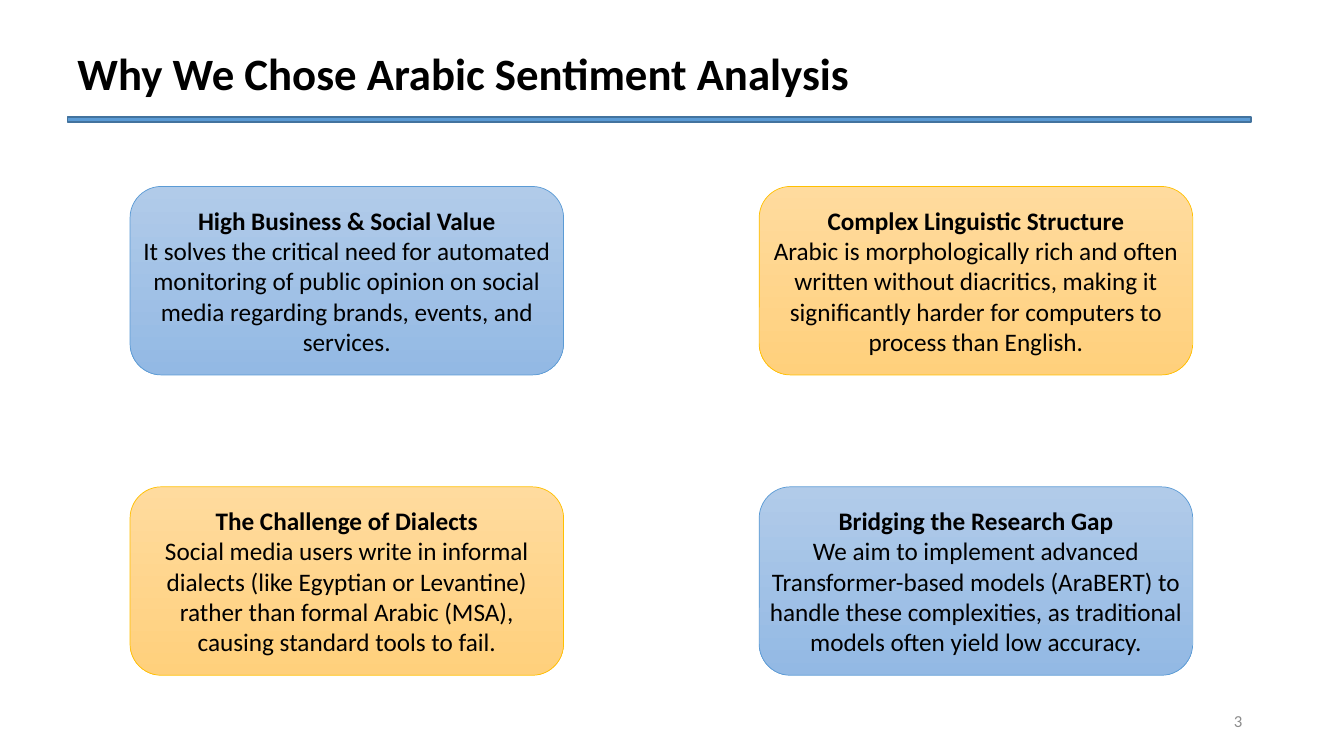
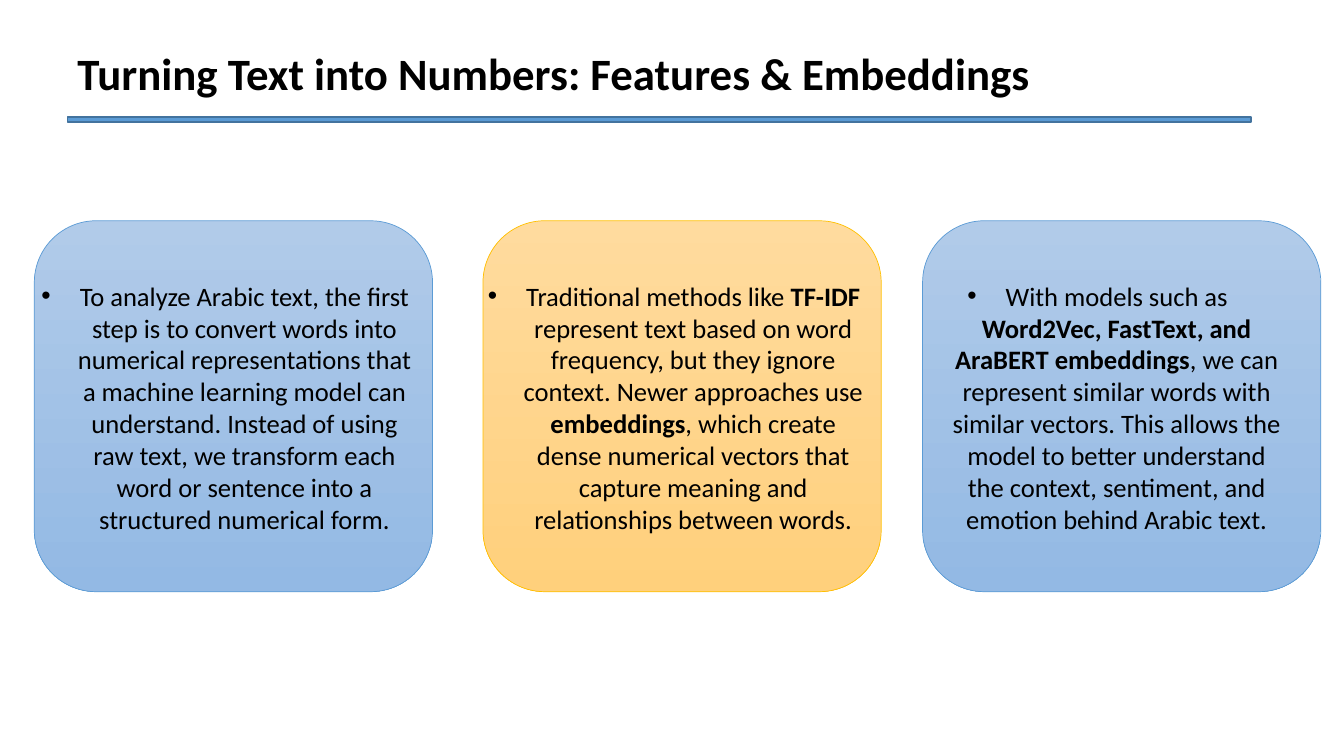
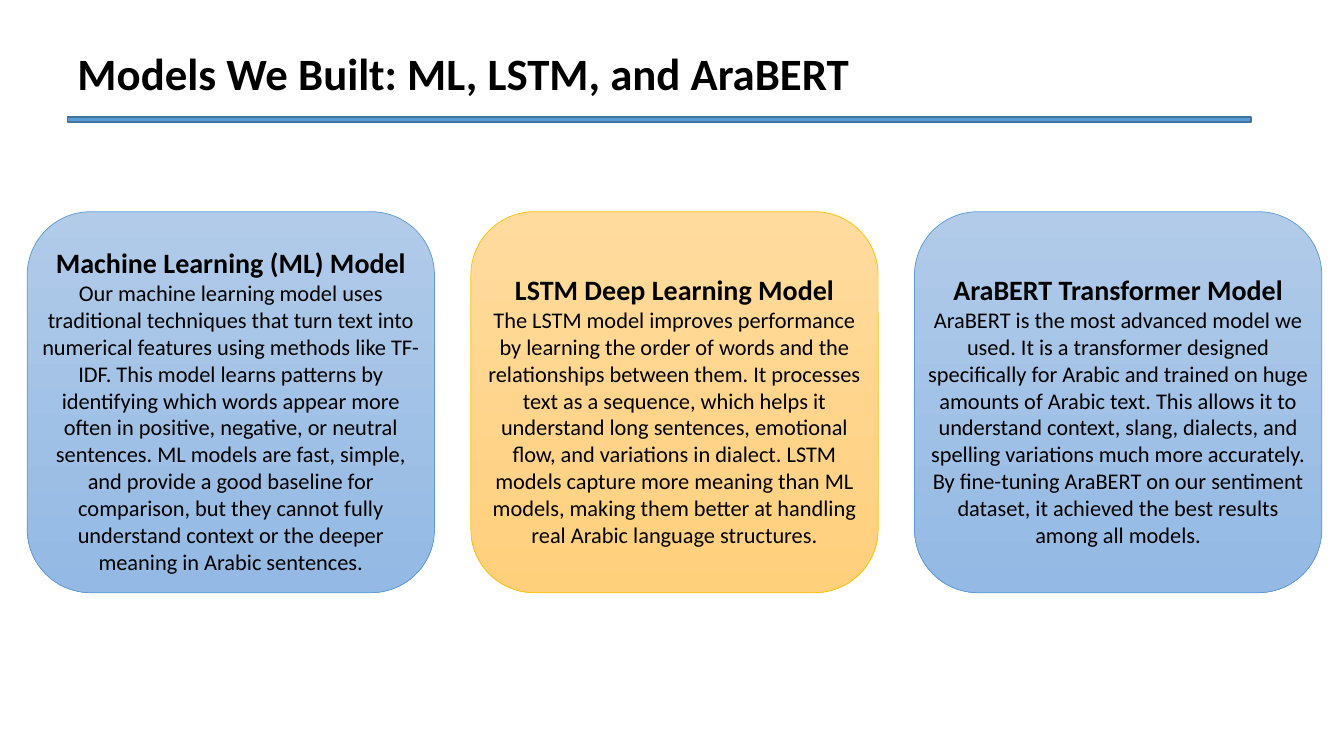
import dataclasses
import itertools

import lxml.etree
import pptx
import pptx.dml.color
import pptx.enum.shapes
import pptx.enum.text
import pptx.oxml.ns
import pptx.util

Inches = pptx.util.Inches
Pt = pptx.util.Pt
Align = pptx.enum.text.PP_ALIGN
Anchor = pptx.enum.text.MSO_ANCHOR
Shape = pptx.enum.shapes.MSO_SHAPE


def rgb(code):
    return pptx.dml.color.RGBColor.from_string(code)


@dataclasses.dataclass(frozen=True)
class Theme:
    font: str = "Calibri"
    ink: str = "000000"
    gray: str = "8C8C8C"
    rule: str = "5B9BD5"
    edge: str = "43739E"
    # each card style: top colour, bottom colour, outline
    blue: tuple = ("B1CBE9", "93B9E4", "5B9BD5")
    gold: tuple = ("FFDB9E", "FFD07C", "FFC000")
    title: int = 32
    head: int = 20
    bullet: int = 19
    body: int = 18
    small: int = 16
    page: int = 12


class Deck:
    def __init__(self, theme):
        self.theme = theme
        self.file = pptx.Presentation()
        self.file.slide_width = Inches(13.33)
        self.file.slide_height = Inches(7.5)
        self.slide = None

    def open(self, title):
        """Start a slide with its title and the rule under it."""
        self.slide = self.file.slides.add_slide(self.file.slide_layouts[6])
        frame = self.frame(0.67, 0.4, 10.98, 0.64)
        self.para(frame.paragraphs[0], title, self.theme.title, bold=True, align=Align.LEFT)
        bar = self.shape(Shape.RECTANGLE, 0.67, 1.16, 11.74, 0.05, self.theme.edge, 1)
        bar.fill.solid()
        bar.fill.fore_color.rgb = rgb(self.theme.rule)

    def shape(self, kind, x, y, w, h, line, width):
        shape = self.slide.shapes.add_shape(kind, Inches(x), Inches(y), Inches(w), Inches(h))
        shape.shadow.inherit = False
        shape.line.color.rgb = rgb(line)
        shape.line.width = Pt(width)
        return shape

    def card(self, x, y, w, h, style):
        top, base, line = style
        card = self.shape(Shape.ROUNDED_RECTANGLE, x, y, w, h, line, 0.5)
        card.fill.gradient()
        card.fill.gradient_angle = 270
        for stop, code in zip(card.fill.gradient_stops, (top, base)):
            stop.color.rgb = rgb(code)

    def frame(self, x, y, w, h):
        box = self.slide.shapes.add_textbox(Inches(x), Inches(y), Inches(w), Inches(h))
        frame = box.text_frame
        frame.word_wrap = True
        frame.vertical_anchor = Anchor.MIDDLE
        return frame

    def para(self, para, text, size, bold=False, align=Align.CENTER, color=None):
        """Fill a paragraph; parts between asterisks are bold."""
        para.alignment = align
        font = para.font
        font.name, font.size = self.theme.font, Pt(size)
        font.color.rgb = rgb(color or self.theme.ink)
        parts = text.split("*")
        if len(parts) == 1:
            font.bold = bold
        for spot, part in enumerate(parts):
            run = para.add_run()
            run.text = part
            if len(parts) > 1:
                run.font.bold = spot % 2 == 1

    def label(self, x, y, w, h, head, body, big, small):
        frame = self.frame(x, y, w, h)
        self.para(frame.paragraphs[0], head, big, bold=True)
        self.para(frame.add_paragraph(), body, small)

    def point(self, x, y, w, h, text):
        """Add a text box with one bulleted paragraph."""
        para = self.frame(x, y, w, h).paragraphs[0]
        self.para(para, text, self.theme.bullet)
        props = para._p.get_or_add_pPr()
        props.set("marL", str(Inches(0.38)))
        props.set("indent", str(-Inches(0.38)))
        qn = pptx.oxml.ns.qn
        font = lxml.etree.Element(qn("a:buFont"), typeface="Arial")
        mark = lxml.etree.Element(qn("a:buChar"), char="•")
        props.insert(0, font)
        props.insert(1, mark)

    def page(self, number):
        frame = self.frame(9.42, 6.95, 3, 0.4)
        self.para(frame.paragraphs[0], str(number), self.theme.page,
                  align=Align.RIGHT, color=self.theme.gray)


REASONS = [
    ("High Business & Social Value",
     "It solves the critical need for automated monitoring of public opinion on social "
     "media regarding brands, events, and services."),
    ("Complex Linguistic Structure",
     "Arabic is morphologically rich and often written without diacritics, making it "
     "significantly harder for computers to process than English."),
    ("The Challenge of Dialects",
     "Social media users write in informal dialects (like Egyptian or Levantine) rather "
     "than formal Arabic (MSA), causing standard tools to fail."),
    ("Bridging the Research Gap",
     "We aim to implement advanced Transformer-based models (AraBERT) to handle these "
     "complexities, as traditional models often yield low accuracy."),
]

# card left, text left, text
STEPS = [
    (0.34, 0.26,
     "To analyze Arabic text, the first step is to convert words into numerical "
     "representations that a machine learning model can understand. Instead of using raw "
     "text, we transform each word or sentence into a structured numerical form."),
    (4.79, 4.71,
     "Traditional methods like *TF-IDF* represent text based on word frequency, but they "
     "ignore context. Newer approaches use *embeddings*, which create dense numerical "
     "vectors that capture meaning and relationships between words."),
    (9.15, 8.91,
     "With models such as *Word2Vec, FastText, and AraBERT embeddings*, we can represent "
     "similar words with similar vectors. This allows the model to better understand the "
     "context, sentiment, and emotion behind Arabic text."),
]

MODELS = [
    ("Machine Learning (ML) Model",
     "Our machine learning model uses traditional techniques that turn text into numerical "
     "features using methods like TF-IDF. This model learns patterns by identifying which "
     "words appear more often in positive, negative, or neutral sentences. ML models are "
     "fast, simple, and provide a good baseline for comparison, but they cannot fully "
     "understand context or the deeper meaning in Arabic sentences."),
    ("LSTM Deep Learning Model",
     "The LSTM model improves performance by learning the order of words and the "
     "relationships between them. It processes text as a sequence, which helps it "
     "understand long sentences, emotional flow, and variations in dialect. LSTM models "
     "capture more meaning than ML models, making them better at handling real Arabic "
     "language structures."),
    ("AraBERT Transformer Model",
     "AraBERT is the most advanced model we used. It is a transformer designed "
     "specifically for Arabic and trained on huge amounts of Arabic text. This allows it "
     "to understand context, slang, dialects, and spelling variations much more "
     "accurately. By fine-tuning AraBERT on our sentiment dataset, it achieved the best "
     "results among all models."),
]


def main():
    theme = Theme()
    deck = Deck(theme)
    styles = (theme.blue, theme.gold)

    deck.open("Why We Chose Arabic Sentiment Analysis")
    cells = itertools.product(range(2), range(2))
    for (row, col), (head, body) in zip(cells, REASONS):
        x, y = 1.29 + col * 6.24, 1.85 + row * 2.98
        deck.card(x, y, 4.3, 1.87, styles[(row + col) % 2])
        deck.label(x, y, 4.3, 1.87, head, body, theme.body, theme.body)
    deck.page(3)

    deck.open("Turning Text into Numbers: Features & Embeddings")
    for (left, inner, text), style in zip(STEPS, itertools.cycle(styles)):
        deck.card(left, 2.19, 3.95, 3.68, style)
        deck.point(inner, 2.71, 3.95, 2.66, text)

    deck.open("Models We Built: ML, LSTM, and AraBERT")
    for col, (head, body) in enumerate(MODELS):
        x = 0.27 + col * 4.4
        deck.card(x, 2.1, 4.04, 3.78, styles[col % 2])
        deck.label(x, 2.37, 4.04, 3.4, head, body, theme.head, theme.small)

    deck.file.save("out.pptx")


if __name__ == "__main__":
    main()
